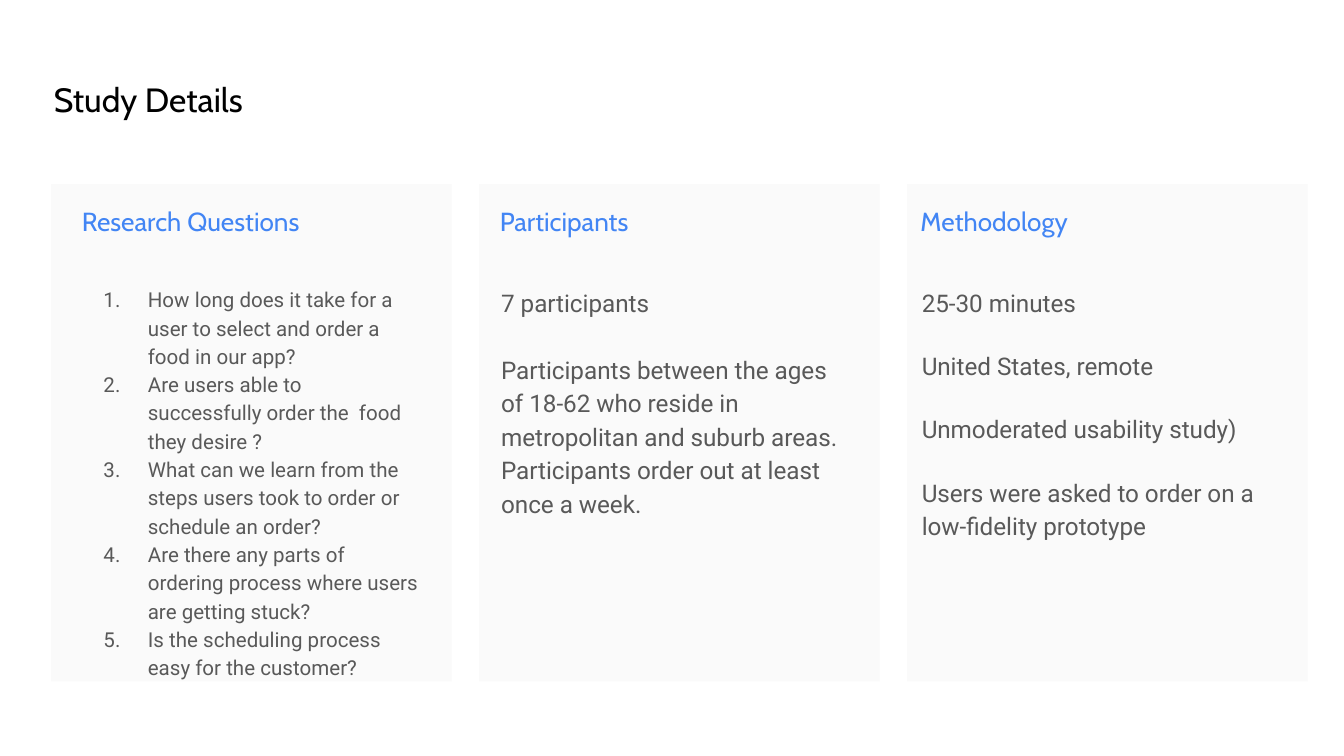
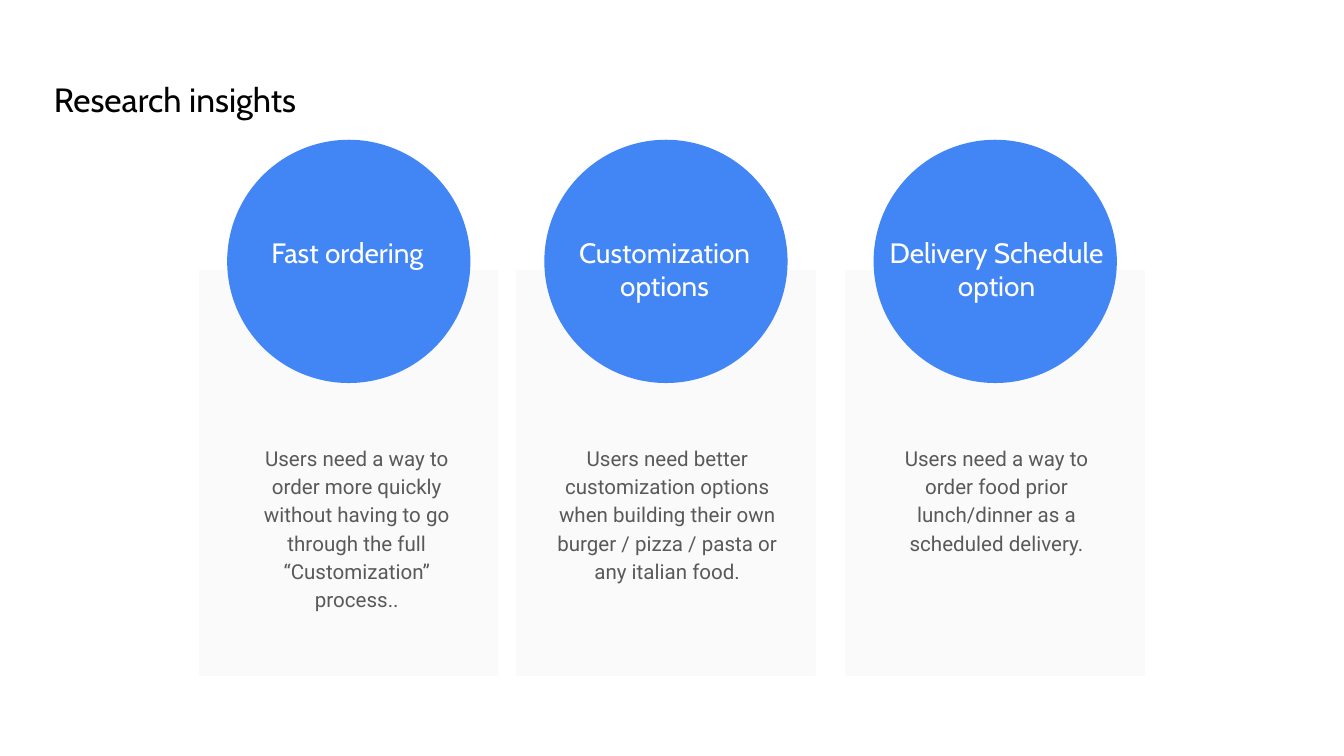
from lxml import etree
from pptx import Presentation
from pptx import util as u
from pptx.dml.color import RGBColor
from pptx.enum import shapes, text
from pptx.oxml.ns import qn

SLIDE_WIDTH = 10
SLIDE_HEIGHT = SLIDE_WIDTH * 9 / 16

BLACK, WHITE, BLUE, GREY, PALE = "000000", "FFFFFF", "4285F4", "595959", "FAFAFA"
LEFT, CENTER = text.PP_ALIGN.LEFT, text.PP_ALIGN.CENTER

TITLE = dict(font="Cabin", size=18, color=BLACK, spacing=1.15)
HEADING = dict(font="Cabin", size=14, color=BLUE)
LABEL = dict(font="Cabin", size=15, color=WHITE, align=CENTER)
DETAIL = dict(font="Roboto", size=13, color=GREY, spacing=1.15)
QUESTION = dict(DETAIL, size=11)
INSIGHT = dict(QUESTION, align=CENTER)

QUESTIONS = [
    "How long does it take for a user to select and order a food in our app?",
    "Are users able to successfully order the  food they desire ?",
    "What can we learn from the steps users took to order or schedule an order?",
    "Are there any parts of  ordering process where users are getting stuck?",
    "Is the scheduling process easy for the customer?",
]
PARTICIPANTS = [
    "7 participants",
    "Participants between the ages of 18-62 who reside in metropolitan and suburb "
    "areas. Participants order out at least once a week.",
]
METHODS = [
    "25-30 minutes",
    "United States, remote",
    "Unmoderated usability study)",
    "Users were asked to order on a low-fidelity prototype",
]
# panel left, label left, body left, label, body
INSIGHTS = [
    (1.48, 1.61, 1.68, "Fast ordering",
     "Users need a way to order more quickly without having to go through the full "
     "“Customization” process.."),
    (3.84, 3.97, 3.99, "Customization options",
     "Users need better customization options when building their own "
     "burger / pizza / pasta or any italian food."),
    (6.29, 6.44, 6.44, "Delivery Schedule option",
     "Users need a way to order food prior lunch/dinner as a scheduled delivery."),
]


def rgb(value):
    return RGBColor.from_string(value)


def inches(box):
    return [u.Inches(length) for length in box]


def set_all(target, values):
    for name, value in values.items():
        setattr(target, name, value)


def write(holder, paragraphs, style, gap=0, top_inset=0.1):
    """Fill a text holder; gap is the space in points between paragraphs."""
    frame = holder.text_frame
    side = u.Inches(0.1)
    set_all(frame, dict(
        word_wrap=True, auto_size=text.MSO_AUTO_SIZE.NONE,
        vertical_anchor=text.MSO_ANCHOR.TOP, margin_left=side, margin_right=side,
        margin_top=u.Inches(top_inset), margin_bottom=side))
    for index, words in enumerate(paragraphs):
        paragraph = frame.add_paragraph() if index else frame.paragraphs[0]
        set_all(paragraph, dict(
            alignment=style.get("align", LEFT), line_spacing=style.get("spacing", 1.0),
            space_before=u.Pt(gap if index else 0), space_after=u.Pt(0)))
        run = paragraph.add_run()
        run.text = words
        set_all(run.font, dict(name=style["font"], size=u.Pt(style["size"])))
        run.font.color.rgb = rgb(style["color"])


def fill_placeholder(placeholder, box, paragraphs, style):
    set_all(placeholder, dict(zip(("left", "top", "width", "height"), inches(box))))
    write(placeholder, paragraphs, style)


def add_text(slide, box, paragraphs, style, **spacing):
    write(slide.shapes.add_textbox(*inches(box)), paragraphs, style, **spacing)


def add_block(slide, kind, box, color):
    block = slide.shapes.add_shape(kind, *inches(box))
    block.shadow.inherit = False
    block.fill.solid()
    block.fill.fore_color.rgb = rgb(color)
    block.line.fill.background()
    return block


def add_panel(slide, box):
    """Add a pale card behind everything else on the slide."""
    panel = add_block(slide, shapes.MSO_SHAPE.RECTANGLE, box, PALE)
    slide.shapes.element.insert(2, panel.element)


def number(paragraphs, color):
    for paragraph in paragraphs:
        props = paragraph._p.get_or_add_pPr()
        props.set("marL", str(u.Inches(0.5)))
        props.set("indent", str(u.Inches(-0.33)))
        bullet_color = etree.SubElement(props, qn("a:buClr"))
        etree.SubElement(bullet_color, qn("a:srgbClr"), val=color)
        etree.SubElement(props, qn("a:buFont"), typeface="Roboto")
        etree.SubElement(props, qn("a:buAutoNum"), type="arabicPeriod")


def new_slide(deck, layout, title, title_size):
    slide = deck.slides.add_slide(deck.slide_layouts.get_by_name(layout))
    fill_placeholder(slide.shapes.title, (0.3, 0.44, *title_size), [title], TITLE)
    return slide


def study_details(deck):
    slide = new_slide(deck, "Title and Content", "Study Details", (6.04, 0.72))
    headings = [(0.51, "Research Questions"), (3.62, "Participants"), (6.75, "Methodology")]
    first, last = 0.38, 6.75
    pitch = (last - first) / (len(headings) - 1)
    for column, (left, heading) in enumerate(headings):
        add_panel(slide, (first + pitch * column, 1.37, 2.98, 3.7))
        add_text(slide, (left, 1.43, 2.71, 0.31), [heading], HEADING)

    questions = slide.placeholders[1]
    fill_placeholder(questions, (0.5, 2.01, 2.73, 2.85), QUESTIONS, QUESTION)
    number(questions.text_frame.paragraphs, GREY)
    for left, details, gap in ((3.63, PARTICIPANTS, 18), (6.76, METHODS, 16)):
        add_text(slide, (left, 2.01, 2.71, 2.42), details, DETAIL, gap=gap)


def research_insights(deck):
    slide = new_slide(deck, "Title Only", "Research insights", (5.04, 0.53))
    for panel_left, label_left, body_left, label, body in INSIGHTS:
        add_panel(slide, (panel_left, 2.01, 2.23, 3.02))
        add_block(slide, shapes.MSO_SHAPE.OVAL, (panel_left + 0.21, 1.04, 1.81, 1.81), BLUE)
        add_text(slide, (label_left, 1.65, 1.95, 0.59), [label], LABEL)
        add_text(slide, (body_left, 2.78, 1.95, 1.47), [body], INSIGHT, top_inset=0.51)


def main():
    deck = Presentation()
    deck.slide_width, deck.slide_height = inches((SLIDE_WIDTH, SLIDE_HEIGHT))
    study_details(deck)
    research_insights(deck)
    deck.save("out.pptx")


if __name__ == "__main__":
    main()
